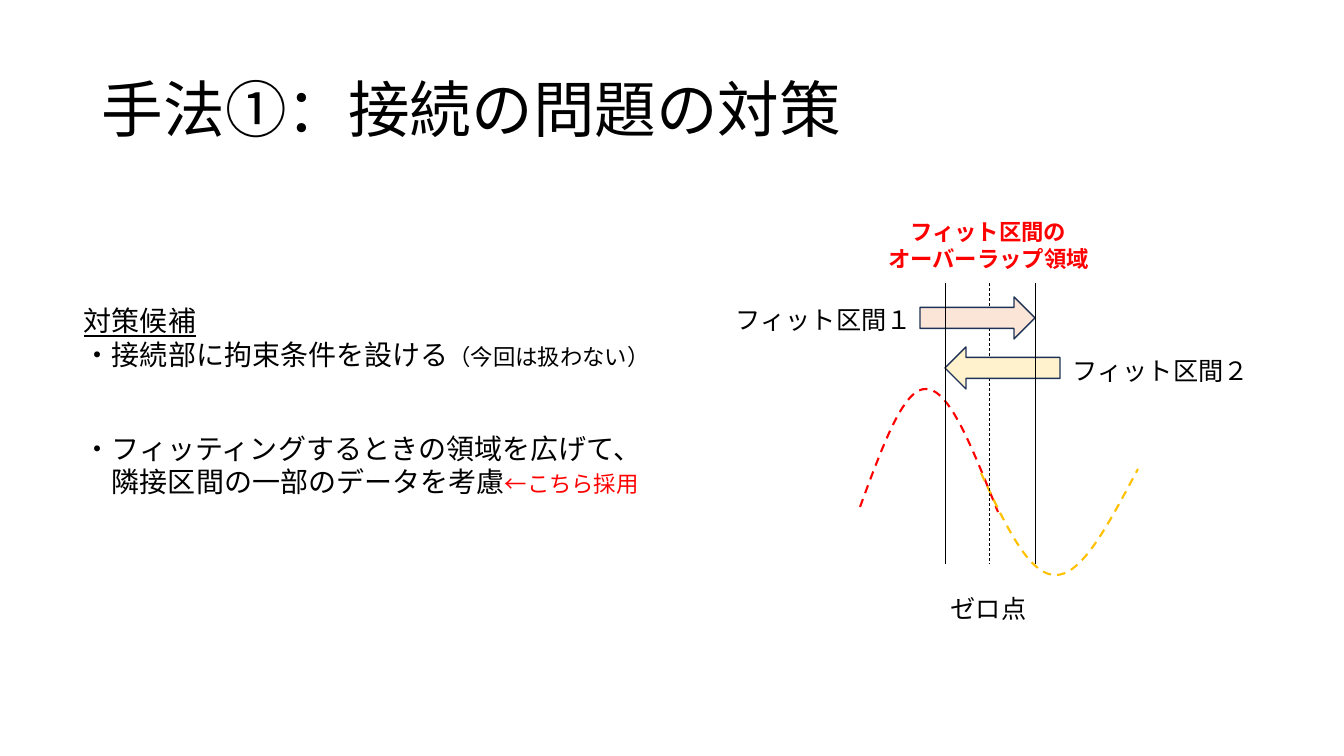
from lxml import etree
from pptx import Presentation
from pptx.dml.color import RGBColor
from pptx.enum.dml import MSO_LINE
from pptx.enum.shapes import MSO_CONNECTOR, MSO_SHAPE
from pptx.enum.text import MSO_ANCHOR, PP_ALIGN
from pptx.oxml.ns import qn
from pptx.util import Pt

DASH = MSO_LINE.DASH
LINE = MSO_CONNECTOR.STRAIGHT
RIGHT, LEFT = MSO_SHAPE.RIGHT_ARROW, MSO_SHAPE.LEFT_ARROW
TOP, MID = MSO_ANCHOR.TOP, MSO_ANCHOR.MIDDLE
START, CENTER = PP_ALIGN.LEFT, PP_ALIGN.CENTER

FONT = "Noto Sans CJK JP"
EMU = 914400 / 100.8
COLORS = {"ink": "000000", "red": "FF0000", "gold": "FFC000",
          "edge": "1E3256", "peach": "FBE5D6", "cream": "FFF2CC"}

TITLE = "手法①：接続の問題の対策"
PLANS = [
    {"runs": [("対策候補", 20, "ink")], "under": True},
    {"runs": [("・接続部に拘束条件を設ける", 20, "ink"),
              ("（今回は扱わない）", 16, "ink")]},
    {"runs": [("・フィッティングするときの領域を広げて、", 20, "ink")], "before": 43},
    {"runs": [("隣接区間の一部のデータを考慮", 20, "ink"),
              ("←こちら採用", 16, "red")], "indent": 28},
]
LABELS = [
    ("フィット区間１", (726, 299, 207, 40), START),
    ("フィット区間２", (1063, 350, 207, 40), START),
    ("ゼロ点", (885, 588, 207, 40), CENTER),
]
OVERLAP = ["フィット区間の", "オーバーラップ領域"]
CURVES = [
    ("red", [(860, 507), (882, 448), (903, 388), (926, 389),
             (950, 389), (973, 450), (998, 512)]),
    ("gold", [(981, 473), (1005, 524), (1029, 576), (1056, 575),
              (1083, 575), (1110, 521), (1138, 469)]),
]
ARROWS = [(RIGHT, 920, 297, "peach"), (LEFT, 945, 347, "cream")]
ARROW_SIZE = (115, 42)
BOUNDS = [(945, False), (1035, False)]
ZERO = (989, True)
SPAN = (283, 564)
STEPS = 20


def px(n):
    return round(n * EMU)


def rgb(name):
    return RGBColor.from_string(COLORS[name])


def stroke(shape, color, width, dashed=False):
    shape.line.color.rgb = rgb(color)
    shape.line.width = Pt(width)
    if dashed:
        shape.line.dash_style = DASH


def write(slide, rect, paras, align=START, anchor=TOP, bold=False, lead=None):
    frame = slide.shapes.add_textbox(*map(px, rect)).text_frame
    frame.word_wrap = True
    frame.vertical_anchor = anchor
    for i, item in enumerate(paras):
        para = frame.add_paragraph() if i else frame.paragraphs[0]
        para.alignment = align
        if lead:
            para.line_spacing = lead
        if "before" in item:
            para.space_before = Pt(item["before"])
        if "indent" in item:
            para._p.get_or_add_pPr().set("marL", str(px(item["indent"])))
        for text, size, color in item["runs"]:
            run = para.add_run()
            run.text = text
            font = run.font
            font.name, font.size, font.bold = FONT, Pt(size), bold
            font.underline = item.get("under", False)
            font.color.rgb = rgb(color)
            etree.SubElement(run._r.rPr, qn("a:ea")).set("typeface", FONT)


def bezier(ends, t):
    s = 1 - t
    parts = (s ** 3, 3 * s * s * t, 3 * s * t * t, t ** 3)
    return tuple(px(sum(w * p[k] for w, p in zip(parts, ends))) for k in (0, 1))


def draw_curve(slide, color, knots):
    points = [bezier(knots[i:i + 4], n / STEPS)
              for i in range(0, len(knots) - 1, 3) for n in range(1, STEPS + 1)]
    form = slide.shapes.build_freeform(*map(px, knots[0]))
    form.add_line_segments(points, close=False)
    curve = form.convert_to_shape()
    curve.shadow.inherit = False
    curve.fill.background()
    stroke(curve, color, 1.5, True)


def draw_line(slide, x, dashed):
    top, foot = SPAN
    line = slide.shapes.add_connector(LINE, px(x), px(top), px(x), px(foot))
    stroke(line, "ink", 0.5, dashed)
    etree.SubElement(line._element.spPr, qn("a:effectLst"))


def main():
    deck = Presentation()
    deck.slide_width, deck.slide_height = px(1344), px(756)
    slide = deck.slides.add_slide(deck.slide_layouts[6])
    write(slide, (92, 40, 1159, 146), [{"runs": [(TITLE, 44, "ink")]}],
          anchor=MID, lead=0.9)
    write(slide, (74, 299, 646, 207), PLANS)
    for color, knots in CURVES:
        draw_curve(slide, color, knots)
    draw_line(slide, *ZERO)
    for kind, x, y, fill in ARROWS:
        arrow = slide.shapes.add_shape(kind, *map(px, (x, y, *ARROW_SIZE)))
        arrow.shadow.inherit = False
        arrow.fill.solid()
        arrow.fill.fore_color.rgb = rgb(fill)
        stroke(arrow, "edge", 1)
    for text, rect, align in LABELS:
        write(slide, rect, [{"runs": [(text, 18, "ink")]}], align)
    for bound in BOUNDS:
        draw_line(slide, *bound)
    write(slide, (865, 213, 247, 65),
          [{"runs": [(text, 16, "red")]} for text in OVERLAP], CENTER, bold=True)
    deck.save("out.pptx")


if __name__ == "__main__":
    main()
